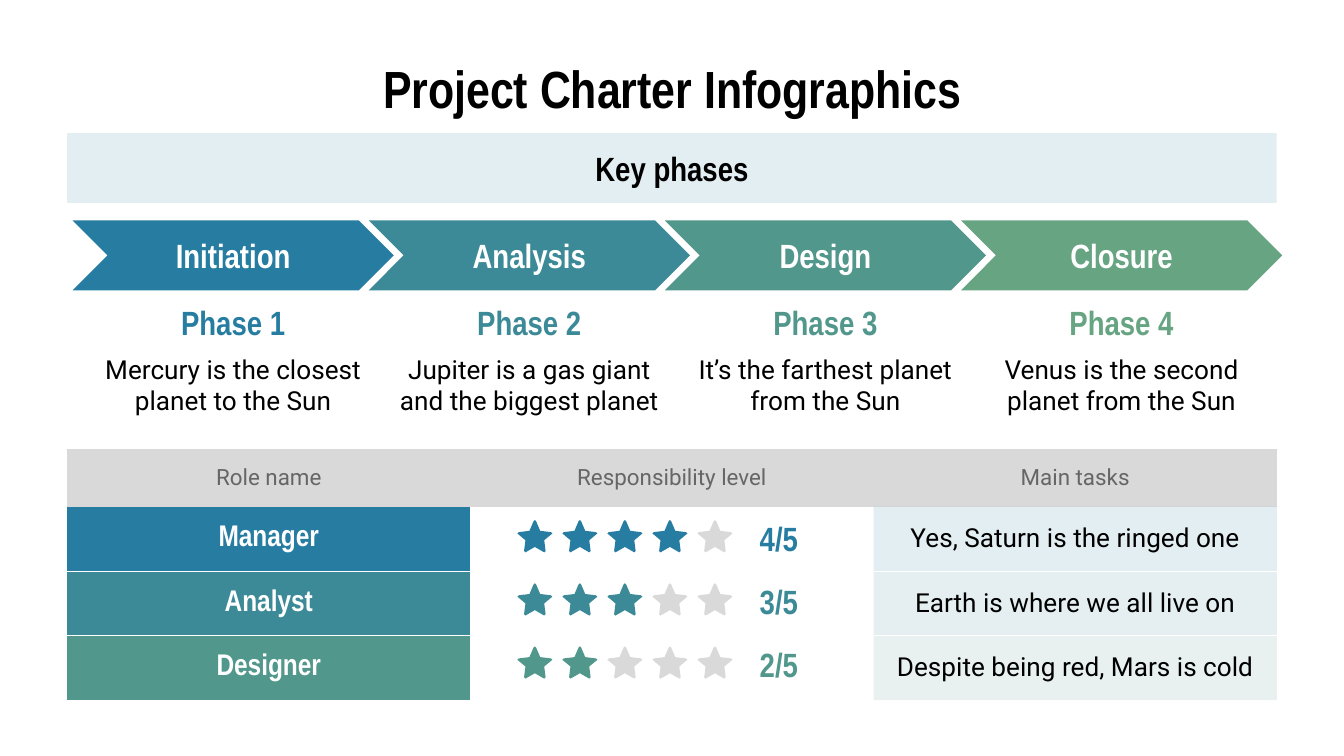
"""Build the project charter slide with phases, roles and star ratings."""
from lxml import etree
from pptx import Presentation
from pptx import util as u
from pptx.dml.color import RGBColor
from pptx.enum import shapes, text
from pptx.oxml import ns

BLUE = RGBColor(0x27, 0x7D, 0xA1)
TEAL = RGBColor(0x3C, 0x8A, 0x97)
SEA = RGBColor(0x51, 0x97, 0x8C)
GREEN = RGBColor(0x66, 0xA4, 0x82)
GREY = RGBColor(0xD9, 0xD9, 0xD9)
DARK_GREY = RGBColor(0x66, 0x66, 0x66)
BLACK = RGBColor(0, 0, 0)
WHITE = RGBColor(0xFF, 0xFF, 0xFF)

TITLE = "Project Charter Infographics"
BANNER = "Key phases"
PHASES = [
    ("Initiation", "Phase 1", "Mercury is the closest planet to the Sun", BLUE),
    ("Analysis", "Phase 2", "Jupiter is a gas giant and the biggest planet", TEAL),
    ("Design", "Phase 3", "It’s the farthest planet from the Sun", SEA),
    ("Closure", "Phase 4", "Venus is the second planet from the Sun", GREEN),
]
HEADERS = ["Role name", "Responsibility level", "Main tasks"]
ROLES = [
    ("Manager", 4, "Yes, Saturn is the ringed one", BLUE),
    ("Analyst", 3, "Earth is where we all live on", TEAL),
    ("Designer", 2, "Despite being red, Mars is cold", SEA),
]
MAX_LEVEL = 5

HEADING = {"name": "Arial Narrow", "size": u.Pt(18), "bold": True}
TITLE_FONT = {**HEADING, "size": u.Pt(28)}
ROLE_FONT = {**HEADING, "size": u.Pt(16)}
BODY = {"name": "Roboto", "size": u.Pt(14), "bold": False}
HEADER_FONT = {**BODY, "size": u.Pt(12)}
INSETS = {f"margin_{side}": u.Inches(0.1) for side in ("left", "top", "right", "bottom")}
FRAME = {**INSETS, "word_wrap": True, "auto_size": text.MSO_AUTO_SIZE.NONE,
         "vertical_anchor": text.MSO_ANCHOR.MIDDLE}
CELL = {**INSETS, "vertical_anchor": text.MSO_ANCHOR.MIDDLE}

SLIDE_WIDTH = 10
STAR_WIDTH = 0.26
STAR_LEFT_HALF = [(0.13, 0), (0.12, 0.01), (0.09, 0.08), (0.01, 0.09), (0, 0.1),
                  (0.06, 0.15), (0.05, 0.23), (0.06, 0.24), (0.13, 0.2)]
STAR = STAR_LEFT_HALF + [(STAR_WIDTH - x, y) for x, y in STAR_LEFT_HALF[-2:0:-1]]


def apply(target, values):
    for name, value in values.items():
        setattr(target, name, value)


def write(frame, wording, font, colour):
    paragraph = frame.paragraphs[0]
    paragraph.alignment = text.PP_ALIGN.CENTER
    run = paragraph.add_run()
    run.text = wording
    apply(run.font, font)
    run.font.color.rgb = colour


def label(box, wording, font, colour):
    apply(box.text_frame, FRAME)
    write(box.text_frame, wording, font, colour)


def paint(shape, colour):
    shape.shadow.inherit = False
    shape.fill.solid()
    shape.fill.fore_color.rgb = colour
    shape.line.fill.background()


def fade(properties):
    colour = properties.find(ns.qn("a:solidFill")).find(ns.qn("a:srgbClr"))
    etree.SubElement(colour, ns.qn("a:alpha"), val="13000")


def rule(cell, sides):
    properties = cell._tc.get_or_add_tcPr()
    for index, side in enumerate(sides):
        line = etree.Element(ns.qn(f"a:ln{side}"), w=str(u.Pt(0.75)))
        fill = etree.SubElement(line, ns.qn("a:solidFill"))
        etree.SubElement(fill, ns.qn("a:srgbClr"), val=str(WHITE))
        properties.insert(index, line)


def fill_cell(cell, wording, font, ink, colour):
    apply(cell, CELL)
    write(cell.text_frame, wording, font, ink)
    cell.fill.solid()
    cell.fill.fore_color.rgb = colour


def add_phases(slide):
    for index, (name, number, detail, colour) in enumerate(PHASES):
        left = 0.54 + index * 6.61 / (len(PHASES) - 1)
        phase = slide.shapes.add_group_shape().shapes
        chevron = phase.add_shape(shapes.MSO_SHAPE.CHEVRON, u.Inches(left), u.Inches(1.64),
                                  u.Inches(2.39), u.Inches(0.52))
        paint(chevron, colour)
        label(chevron, name, HEADING, WHITE)
        for wording, top, height, font, ink in ((number, 2.23, 0.33, HEADING, colour),
                                                (detail, 2.57, 0.58, BODY, BLACK)):
            caption = phase.add_textbox(u.Inches(left + 0.12), u.Inches(top),
                                        u.Inches(2.15), u.Inches(height))
            label(caption, wording, font, ink)


def add_roles(slide):
    roles = slide.shapes.add_table(len(ROLES) + 1, len(HEADERS), u.Inches(0.5), u.Inches(3.34),
                                   u.Inches(9), u.Inches(1.87)).table
    apply(roles, {"first_row": False, "horz_banding": False})
    style = roles._tbl.tblPr.find(ns.qn("a:tableStyleId"))
    style.text = "{2D5ABB26-0587-4C30-8999-92F81FD0307C}"
    for index, row in enumerate(roles.rows):
        row.height = u.Inches(0.48 if index else 0.43)
    for column, header in enumerate(HEADERS):
        fill_cell(roles.cell(0, column), header, HEADER_FONT, DARK_GREY, GREY)
    for index, (role, _, task, colour) in enumerate(ROLES, 1):
        role_cell, level_cell, task_cell = roles.rows[index].cells
        fill_cell(role_cell, role, ROLE_FONT, WHITE, colour)
        level_cell.fill.background()
        fill_cell(task_cell, task, BODY, BLACK, colour)
        fade(task_cell._tc.tcPr)
        sides = ("T" if index > 1 else "") + ("B" if index < len(ROLES) else "")
        for cell in (role_cell, level_cell, task_cell):
            rule(cell, sides)


def add_ratings(slide):
    for index, (_, level, _, colour) in enumerate(ROLES):
        top = 3.87 + 0.47 * index
        stars = slide.shapes.add_group_shape().shapes
        for place in range(MAX_LEVEL):
            left = 3.85 + place * 1.34 / (MAX_LEVEL - 1)
            points = [(u.Inches(left + x), u.Inches(top + y)) for x, y in STAR]
            outline = stars.build_freeform(*points[0])
            outline.add_line_segments(points[1:], close=True)
            paint(outline.convert_to_shape(), colour if place < level else GREY)
        score = slide.shapes.add_textbox(u.Inches(5.44), u.Inches(top - 0.1),
                                         u.Inches(0.71), u.Inches(0.47))
        label(score, f"{level}/{MAX_LEVEL}", HEADING, colour)


def main():
    deck = Presentation()
    apply(deck, {"slide_width": u.Inches(SLIDE_WIDTH),
                 "slide_height": u.Inches(SLIDE_WIDTH * 9 / 16)})
    slide = deck.slides.add_slide(deck.slide_layouts[5])
    title = slide.shapes.title
    apply(title, {"left": u.Inches(0.5), "top": u.Inches(0.45),
                  "width": u.Inches(9), "height": u.Inches(0.41)})
    label(title, TITLE, TITLE_FONT, BLACK)
    add_phases(slide)
    banner = slide.shapes.add_shape(shapes.MSO_SHAPE.RECTANGLE, u.Inches(0.5), u.Inches(0.99),
                                    u.Inches(9), u.Inches(0.52))
    paint(banner, BLUE)
    fade(banner._element.spPr)
    label(banner, BANNER, HEADING, BLACK)
    add_roles(slide)
    add_ratings(slide)
    deck.save("out.pptx")


if __name__ == "__main__":
    main()
